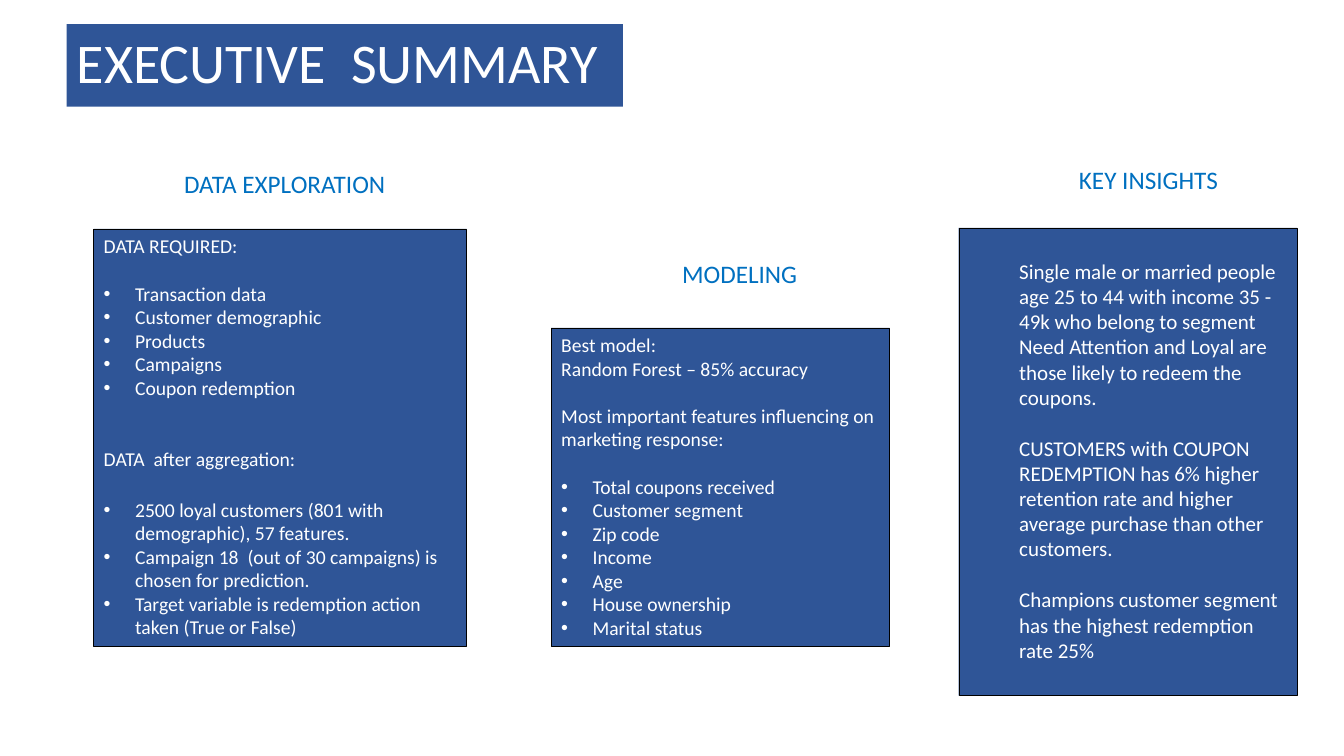
from lxml import etree
from pptx import Presentation
from pptx.dml.color import RGBColor
from pptx.enum.text import MSO_ANCHOR, MSO_AUTO_SIZE, PP_ALIGN
from pptx.oxml.ns import qn
from pptx.util import Cm, Pt

NAVY = RGBColor(0x2F, 0x55, 0x97)
BLUE = RGBColor(0x00, 0x70, 0xC0)
WHITE = RGBColor(0xFF, 0xFF, 0xFF)
BLACK = RGBColor(0x00, 0x00, 0x00)
LEFT, CENTER = PP_ALIGN.LEFT, PP_ALIGN.CENTER
TOP, MIDDLE = MSO_ANCHOR.TOP, MSO_ANCHOR.MIDDLE
FIXED = MSO_AUTO_SIZE.NONE
COMPARE = 4  # layout with a title and four body placeholders


def place(shape, area, anchor):
    for name, value in zip(("left", "top", "width", "height"), area):
        setattr(shape, name, Cm(value))
    frame = shape.text_frame
    form = {"word_wrap": True, "auto_size": FIXED, "vertical_anchor": anchor}
    for name, value in form.items():
        setattr(frame, name, value)
    return frame


def write(para, text, size, color, **form):
    para.text = text
    for name, value in form.items():
        setattr(para, name, value)
    font = {"name": "Calibri", "size": Pt(size), "bold": False}
    for name, value in font.items():
        setattr(para.font, name, value)
    para.font.color.rgb = color


deck = Presentation()
deck.slide_width, deck.slide_height = Cm(33.87), Cm(19.05)
slide = deck.slides.add_slide(deck.slide_layouts[COMPARE])
holders = {h.placeholder_format.idx: h for h in slide.placeholders}

# Title bar
title = slide.shapes.title
frame = place(title, (1.68, 0.61, 14.02, 2.08), MIDDLE)
write(frame.paragraphs[0], "EXECUTIVE  SUMMARY", 40, WHITE,
      alignment=LEFT, line_spacing=0.9)
title.fill.solid()
title.fill.fore_color.rgb = NAVY

# Column headings
heads = [
    ("DATA EXPLORATION", (4.39, 4.11, 6.12, 1.02), LEFT),
    ("MODELING", (16.94, 6.38, 4.32, 1.02), LEFT),
    ("KEY INSIGHTS", (25.2, 4.01, 7.49, 1.02), CENTER),
]
for text, area, align in heads:
    box = slide.shapes.add_textbox(0, 0, 0, 0)
    frame = place(box, area, TOP)
    write(frame.paragraphs[0], text, 18, BLUE, alignment=align)

# Panel text: (gap before in points, bulleted, text)
data = [
    (0, False, "DATA REQUIRED:"),
    (17, True, "Transaction data"),
    (0, True, "Customer demographic"),
    (0, True, "Products"),
    (0, True, "Campaigns"),
    (0, True, "Coupon redemption"),
    (34, False, "DATA  after aggregation:"),
    (19.5, True, "2500 loyal customers (801 with demographic), 57 features."),
    (0, True, "Campaign 18  (out of 30 campaigns) is chosen for prediction."),
    (0, True, "Target variable is redemption action taken (True or False)"),
]
model = [
    (0, False, "Best model:"),
    (0, False, "Random Forest – 85% accuracy"),
    (17, False, "Most important features influencing on marketing response:"),
    (17, True, "Total coupons received"),
    (0, True, "Customer segment"),
    (0, True, "Zip code"),
    (0, True, "Income"),
    (0, True, "Age"),
    (0, True, "House ownership"),
    (0, True, "Marital status"),
]
insight = [
    (0, False, "Single male or married people age 25 to 44 with income 35 - 49k "
               "who belong to segment Need Attention and Loyal are those likely "
               "to redeem the coupons."),
    (18.3, False, "CUSTOMERS with COUPON REDEMPTION has 6% higher retention rate "
                  "and higher average purchase than other customers."),
    (18.3, False, "Champions customer segment has the highest redemption rate 25%"),
]

# Panels: placeholder, area, text size, top inset, plain indent, lines
panels = [
    (1, (2.36, 5.77, 9.4, 10.52), 14, 0.13, 0, data),
    (2, (13.89, 8.26, 8.53, 8.03), 14, 0.13, 0, model),
    (4, (24.16, 5.74, 8.53, 11.79), 15, 0.77, 1.27, insight),
]
for key, area, size, inset, indent, lines in panels:
    panel = holders[key]
    frame = place(panel, area, TOP)
    frame.margin_top = Cm(inset)
    panel.fill.solid()
    panel.fill.fore_color.rgb = NAVY
    panel.line.color.rgb = BLACK
    panel.line.width = Pt(0.25)
    for i, (gap, dot, text) in enumerate(lines):
        para = frame.add_paragraph() if i else frame.paragraphs[0]
        props = para._p.get_or_add_pPr()
        props.set("marL", str(Cm(0.79 if dot else indent)))
        props.set("indent", str(Cm(-0.79 if dot else 0)))
        if dot:
            etree.SubElement(props, qn("a:buFont"), typeface="Arial")
            etree.SubElement(props, qn("a:buChar"), char="•")
        else:
            etree.SubElement(props, qn("a:buNone"))
        write(para, text, size, WHITE, alignment=LEFT, space_before=Pt(gap))

# Drop the unused body placeholder
spare = holders[3].element
spare.getparent().remove(spare)

deck.save("out.pptx")
